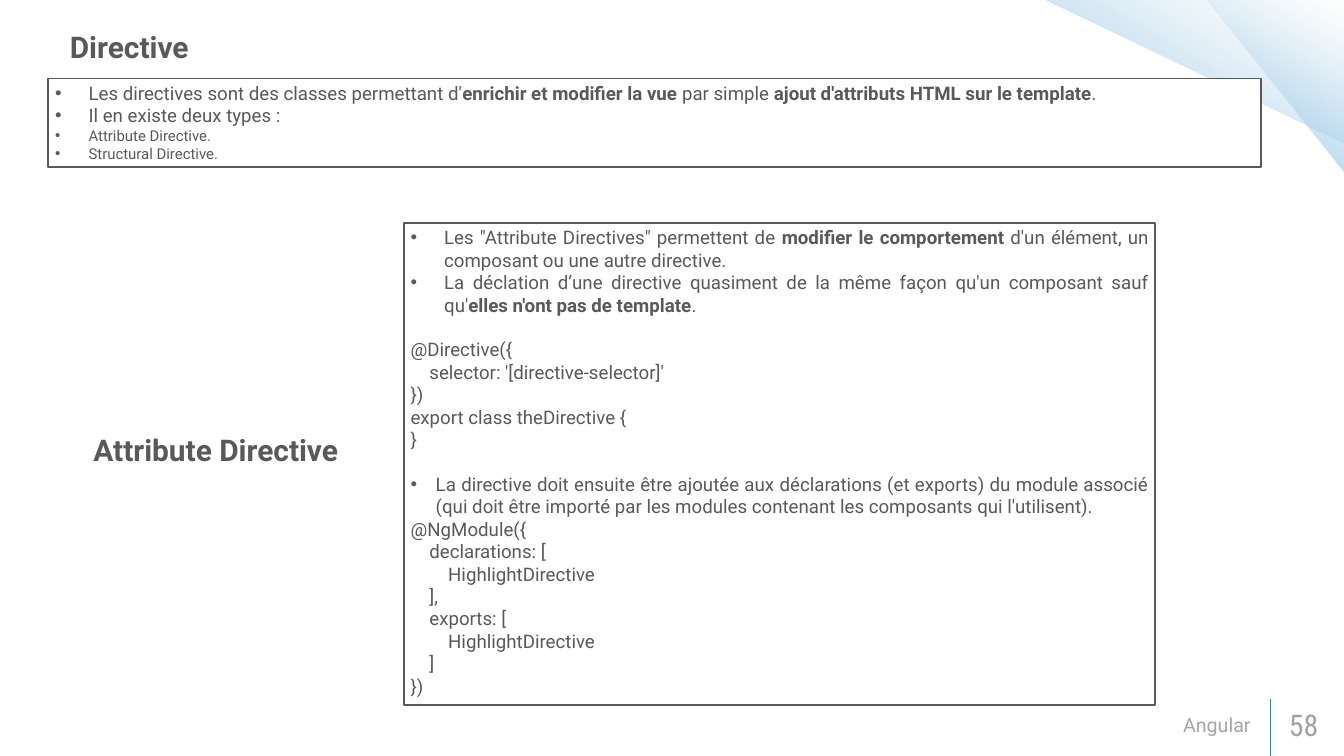
from lxml import etree
from pptx import Presentation
from pptx import util as u
from pptx.dml.color import RGBColor
from pptx.enum import shapes, text
from pptx.oxml import parse_xml
from pptx.oxml.ns import nsdecls, qn

DARK, TEAL, WHITE = "595959", "0098BF", "FFFFFF"
BULLET_INDENT = 1.27
CODE_STEP = 0.71  # one level of code indentation
BLANK_LINE = 24   # points

# Paragraphs: (text with **bold** parts, format)
INTRODUCTION = [
    ("Les directives sont des classes permettant d'**enrichir et modifier la vue** par simple "
     "**ajout d'attributs HTML sur le template**.", {"bullet": BULLET_INDENT}),
    ("Il en existe deux types :", {"bullet": BULLET_INDENT}),
    ("Attribute Directive.", {"bullet": BULLET_INDENT, "size": 16}),
    ("Structural Directive.", {"bullet": BULLET_INDENT, "size": 16}),
]
EXPLANATION = [
    ("Les \"Attribute Directives\" permettent de **modifier le comportement** d'un élément, "
     "un composant ou une autre directive.", {"bullet": BULLET_INDENT}),
    ("La déclation d’une directive quasiment de la même façon qu'un composant sauf "
     "qu'**elles n'ont pas de template**.", {"bullet": BULLET_INDENT}),
    ("@Directive({", {"before": BLANK_LINE}),
    ("selector: '[directive-selector]'", {"level": 1}),
    ("})", {}),
    ("export class theDirective {", {}),
    ("}", {}),
    ("La directive doit ensuite être ajoutée aux déclarations (et exports) du module associé "
     "(qui doit être importé par les modules contenant les composants qui l'utilisent).",
     {"bullet": 0.95, "before": BLANK_LINE}),
    ("@NgModule({", {}),
    ("declarations: [", {"level": 1}),
    ("HighlightDirective", {"level": 2}),
    ("],", {"level": 1}),
    ("exports: [", {"level": 1}),
    ("HighlightDirective", {"level": 2}),
    ("]", {"level": 1}),
    ("})", {}),
]
# Boxes are left, top, width, height in centimetres
PANELS = [((1.83, 2.97, 45.85, 3.33), INTRODUCTION),
          ((15.27, 8.43, 28.4, 18.21), EXPLANATION)]
HEADINGS = [((2.39, 0.94, 5.33, 1.63), "Directive"),
            ((3.28, 16.21, 10.39, 1.63), "Attribute Directive")]
FOOTER = [
    ((26.14, 26.64, 21.59, 1.52), "Angular",
     {"size": 21, "color": "808080", "alpha": 70, "align": text.PP_ALIGN.RIGHT}),
    ((48.26, 26.64, 2.51, 1.52), "58",
     {"size": 32, "color": "A2A2A2", "font": "Roboto Condensed"}),
]
CORNER_TRIANGLES = [(45.62, 0, 5.18, 6.53), (39.47, 0, 11.38, 5.41)]
GRADIENT = [(0, "8FC8E8", 100), (50, "A4CEE9", 44), (100, "DEEDF6", 0)]


def rgb(value):
    return RGBColor.from_string(value)


def cm(box):
    return [u.Cm(length) for length in box]


def write(paragraph, content, size=20, color=DARK, font="Roboto", bold=False, alpha=None,
          align=None, bullet=0, level=0, before=0):
    """Fill a paragraph; parts between ** are bold, bullet is its hanging indent."""
    paragraph.alignment = align
    if before:
        paragraph.space_before = u.Pt(before)
    properties = paragraph._p.get_or_add_pPr()
    if bullet:
        properties.set("marL", str(u.Cm(bullet)))
        properties.set("indent", str(-u.Cm(bullet)))
        etree.SubElement(properties, qn("a:buFont")).set("typeface", "Arial")
        etree.SubElement(properties, qn("a:buChar")).set("char", "•")
    elif level:
        properties.set("marL", str(u.Cm(level * CODE_STEP)))
    for index, part in enumerate(content.split("**")):
        if not part:
            continue
        run = paragraph.add_run()
        run.text = part
        run.font.size = u.Pt(size)
        run.font.name = font
        run.font.bold = bold or index % 2 == 1
        run.font.color.rgb = rgb(color)
        if alpha:
            color_element = run._r.rPr.find(".//" + qn("a:srgbClr"))
            etree.SubElement(color_element, qn("a:alpha")).set("val", str(alpha * 1000))


def add_triangle(slide, box):
    triangle = slide.shapes.add_shape(shapes.MSO_SHAPE.RIGHT_TRIANGLE, *cm(box))
    triangle.rotation = 180
    triangle.shadow.inherit = False
    triangle.line.fill.background()
    stops = "".join(
        f'<a:gs pos="{position * 1000}"><a:srgbClr val="{color}">'
        f'<a:alpha val="{alpha * 1000}"/></a:srgbClr></a:gs>'
        for position, color, alpha in GRADIENT)
    triangle._element.spPr.find(qn("a:prstGeom")).addnext(parse_xml(
        f'<a:gradFill {nsdecls("a")} rotWithShape="1"><a:gsLst>{stops}</a:gsLst>'
        f'<a:lin ang="{120 * 60000}" scaled="0"/></a:gradFill>'))


def add_panel(slide, box, paragraphs):
    panel = slide.shapes.add_shape(shapes.MSO_SHAPE.RECTANGLE, *cm(box))
    panel.shadow.inherit = False
    panel.fill.solid()
    panel.fill.fore_color.rgb = rgb(WHITE)
    panel.line.color.rgb = rgb(DARK)
    panel.line.width = u.Pt(2)
    frame = panel.text_frame
    frame.word_wrap = True
    frame.vertical_anchor = text.MSO_ANCHOR.TOP
    for index, (content, style) in enumerate(paragraphs):
        paragraph = frame.add_paragraph() if index else frame.paragraphs[0]
        write(paragraph, content, align=text.PP_ALIGN.JUSTIFY, **style)


def add_label(slide, box, content, wrap=True, **style):
    frame = slide.shapes.add_textbox(*cm(box)).text_frame
    frame.word_wrap = wrap
    write(frame.paragraphs[0], content, **style)
    return frame


def main():
    presentation = Presentation()
    presentation.slide_width, presentation.slide_height = u.Cm(50.8), u.Cm(28.58)
    slide = presentation.slides.add_slide(presentation.slide_layouts[6])

    divider = slide.shapes.add_connector(
        shapes.MSO_CONNECTOR.STRAIGHT, *cm((48.03, 28.58, 48.03, 26.42)))
    divider.line.color.rgb = rgb(TEAL)
    divider.line.width = u.Pt(1)
    etree.SubElement(divider._element.spPr, qn("a:effectLst"))

    for box in CORNER_TRIANGLES:
        add_triangle(slide, box)
    for box, content, style in FOOTER:
        frame = add_label(slide, box, content, **style)
        frame.vertical_anchor = text.MSO_ANCHOR.MIDDLE
        frame.margin_left = frame.margin_right = u.Cm(0.46)
        frame.margin_top = frame.margin_bottom = u.Cm(0.23)
    for box, paragraphs in PANELS:
        add_panel(slide, box, paragraphs)
    for box, content in HEADINGS:
        add_label(slide, box, content, wrap=False, size=32, bold=True)

    presentation.save("out.pptx")


if __name__ == "__main__":
    main()
